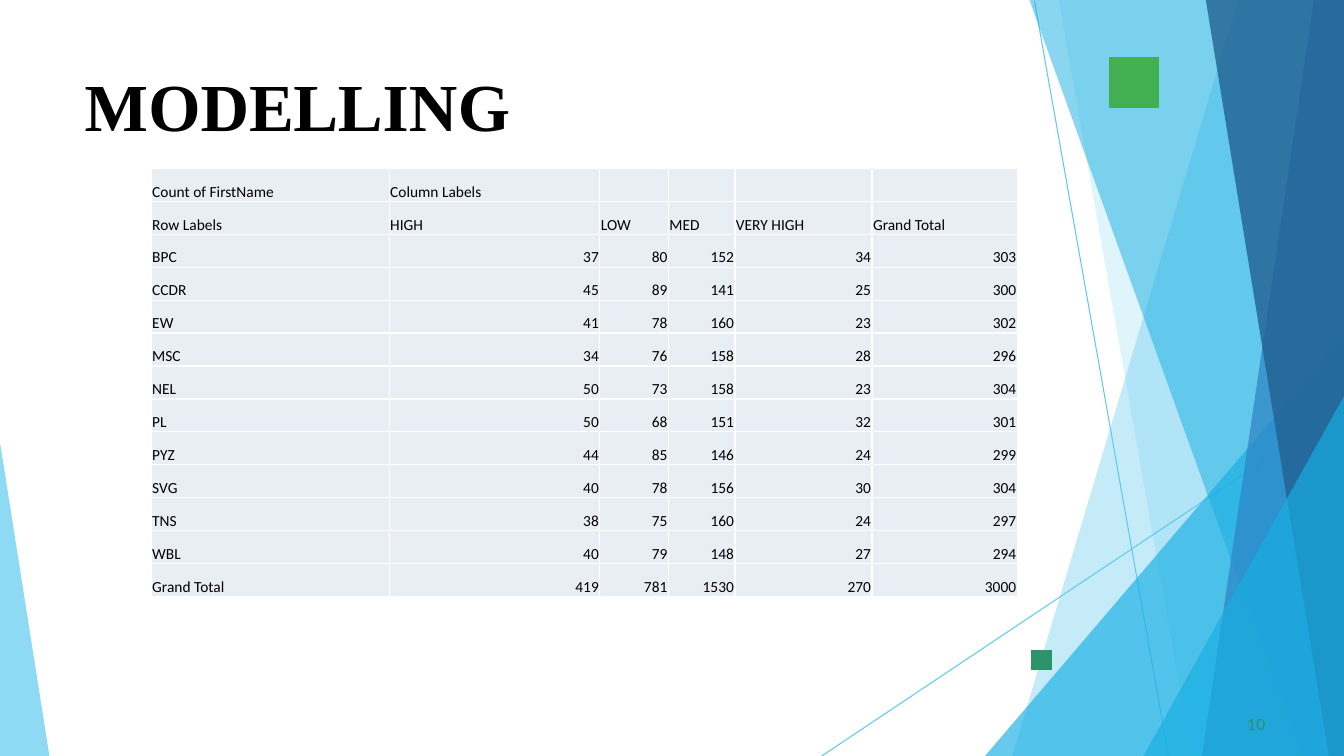
import dataclasses
import typing

import lxml.etree
import pptx
import pptx.dml.color
import pptx.enum.text
import pptx.oxml
import pptx.oxml.ns
import pptx.util

Inches = pptx.util.Inches
Pt = pptx.util.Pt
Point = tuple[float, float]

COLOURS = {
    "sky": "5FCAEE", "azure": "17AFE3", "blue": "2D83C3", "navy": "226192",
    "green": "42AF51", "teal": "2D936B", "cell": "E9EDF4",
    "white": "FFFFFF", "black": "000000",
}
WIDTH, HEIGHT = 13.33, 7.5


@dataclasses.dataclass(frozen=True)
class Ray:
    start: Point
    end: Point


@dataclasses.dataclass(frozen=True)
class Facet:
    corners: tuple[Point, ...]
    colour: str
    opacity: int = 100


def right_band(top: float, bottom: float, colour: str, opacity: int) -> Facet:
    """Band from the top edge to the bottom edge, closed by the right edge."""
    corners = ((WIDTH, 0), (top, 0), (bottom, HEIGHT), (WIDTH, HEIGHT))
    return Facet(corners, colour, opacity)


def right_wedge(top: float, bottom: float, colour: str, opacity: int) -> Facet:
    """Triangle rising from the bottom edge to a height on the right edge."""
    return Facet(((WIDTH, top), (bottom, HEIGHT), (WIDTH, HEIGHT)), colour, opacity)


def square(left: float, top: float, side: float, colour: str) -> Facet:
    right, bottom = left + side, top + side
    return Facet(((left, top), (right, top), (right, bottom), (left, bottom)), colour)


RAYS = [Ray((10.26, 0.01), (11.59, HEIGHT)), Ray((WIDTH, 4.04), (8.15, HEIGHT))]
FACETS = [
    right_band(12.28, 10.04, "sky", 36),
    right_band(10.5, 11.82, "sky", 20),
    right_wedge(3.33, 9.77, "azure", 66),
    right_band(10.21, 12.91, "azure", 50),
    right_band(13.03, 11.92, "blue", 70),
    right_band(11.96, 13.18, "navy", 80),
    right_wedge(3.93, 11.34, "azure", 66),
    Facet(((0, 4.39), (0, HEIGHT), (0.49, HEIGHT)), "sky", 70),
    square(10.23, 6.45, 0.2, "teal"),
    square(11, 0.57, 0.5, "green"),
]

# Letters of the title with their spacing in hundredths of a point
TITLE_LETTERS = [("M", 10), ("O", 0), ("D", -10), ("ELL", -30),
                 ("I", -10), ("N", 30), ("G", 10)]

LEVELS = ["HIGH", "LOW", "MED", "VERY HIGH"]
UNIT_COUNTS = {
    "BPC": [37, 80, 152, 34], "CCDR": [45, 89, 141, 25],
    "EW": [41, 78, 160, 23], "MSC": [34, 76, 158, 28],
    "NEL": [50, 73, 158, 23], "PL": [50, 68, 151, 32],
    "PYZ": [44, 85, 146, 24], "SVG": [40, 78, 156, 30],
    "TNS": [38, 75, 160, 24], "WBL": [40, 79, 148, 27],
}
COLUMN_WIDTHS = [2.36, 2.09, 0.68, 0.66, 1.36, 1.44]

FRAME_FORMAT = {
    "margin_left": Inches(0.01), "margin_top": Inches(0.01),
    "margin_right": 0, "margin_bottom": 0, "word_wrap": True,
    "vertical_anchor": pptx.enum.text.MSO_ANCHOR.TOP,
    "auto_size": pptx.enum.text.MSO_AUTO_SIZE.SHAPE_TO_FIT_TEXT,
}
CELL_FORMAT = {
    "margin_left": Inches(0.01), "margin_top": Inches(0.01),
    "margin_right": Inches(0.01), "margin_bottom": 0,
    "vertical_anchor": pptx.enum.text.MSO_ANCHOR.BOTTOM,
}
TITLE_FONT = {"name": "Times New Roman", "size": Pt(48), "bold": True}
NUMBER_FONT = {"name": "Lato", "size": Pt(11)}
CELL_FONT = {"name": "Calibri", "size": Pt(11)}


def rgb(colour: str) -> pptx.dml.color.RGBColor:
    return pptx.dml.color.RGBColor.from_string(COLOURS[colour])


def apply_format(target: typing.Any, values: dict[str, typing.Any]) -> None:
    for attribute, value in values.items():
        setattr(target, attribute, value)


def add_run(paragraph: typing.Any, text: str, font: dict[str, typing.Any],
            colour: str, spacing: int = 0) -> None:
    run = paragraph.add_run()
    run.text = text
    apply_format(run.font, font)
    run.font.color.rgb = rgb(colour)
    if spacing:
        run.font._element.set("spc", str(spacing))


def draw_ray(slide: typing.Any, ray: Ray) -> None:
    ends = [Inches(value) for value in ray.start + ray.end]
    line = slide.shapes.add_connector(pptx.enum.shapes.MSO_CONNECTOR.STRAIGHT, *ends)
    line.line.color.rgb = rgb("sky")
    line.line.width = Pt(0.75)
    lxml.etree.SubElement(line._element.spPr, pptx.oxml.ns.qn("a:effectLst"))


def draw_facet(slide: typing.Any, facet: Facet) -> None:
    first, *others = [(Inches(x), Inches(y)) for x, y in facet.corners]
    builder = slide.shapes.build_freeform(*first)
    builder.add_line_segments(others, close=True)
    facet_shape = builder.convert_to_shape()
    facet_shape.shadow.inherit = False
    facet_shape.line.fill.background()
    facet_shape.fill.solid()
    facet_shape.fill.fore_color.rgb = rgb(facet.colour)
    if facet.opacity < 100:
        tint = facet_shape._element.spPr.find(".//" + pptx.oxml.ns.qn("a:srgbClr"))
        alpha = lxml.etree.SubElement(tint, pptx.oxml.ns.qn("a:alpha"))
        alpha.set("val", str(facet.opacity * 1000))


def draw_title(slide: typing.Any) -> None:
    title = slide.shapes.title
    apply_format(title, {"left": Inches(0.83), "top": Inches(0.63),
                         "width": Inches(5.27), "height": Inches(0.82)})
    apply_format(title.text_frame, FRAME_FORMAT)
    heading = title.text_frame.paragraphs[0]
    apply_format(heading, {"alignment": pptx.enum.text.PP_ALIGN.LEFT,
                           "space_before": Pt(1.1)})
    for letters, spacing in TITLE_LETTERS:
        add_run(heading, letters, TITLE_FONT, "black", spacing)


def draw_page_number(slide: typing.Any) -> None:
    page_number = slide.shapes.add_textbox(
        Inches(12.33), Inches(7.08), Inches(0.25), Inches(0.21))
    apply_format(page_number.text_frame,
                 FRAME_FORMAT | {"margin_left": Inches(0.04)})
    number_line = page_number.text_frame.paragraphs[0]
    number_line.space_before = Pt(0.6)
    add_run(number_line, "10", NUMBER_FONT, "teal", 10)


def fill_cell(cell: typing.Any, value: str | int) -> None:
    apply_format(cell, CELL_FORMAT)
    for side in ("lnL", "lnR", "lnT", "lnB"):
        cell._tc.get_or_add_tcPr().append(pptx.oxml.parse_xml(
            f'<a:{side} {pptx.oxml.ns.nsdecls("a")} w="12700"><a:solidFill>'
            f'<a:srgbClr val="{COLOURS["white"]}"/></a:solidFill></a:{side}>'))
    cell.fill.solid()
    cell.fill.fore_color.rgb = rgb("cell")
    entry = cell.text_frame.paragraphs[0]
    if isinstance(value, int):
        entry.alignment = pptx.enum.text.PP_ALIGN.RIGHT
    if value != "":
        add_run(entry, str(value), CELL_FONT, "black")


def draw_counts(slide: typing.Any) -> None:
    totals = [sum(column) for column in zip(*UNIT_COUNTS.values())]
    rows = [["Count of FirstName", "Column Labels", "", "", "", ""],
            ["Row Labels", *LEVELS, "Grand Total"]]
    for label, counts in (UNIT_COUNTS | {"Grand Total": totals}).items():
        rows.append([label, *counts, sum(counts)])
    counts_table = slide.shapes.add_table(
        len(rows), len(COLUMN_WIDTHS), Inches(1.5), Inches(1.67),
        Inches(sum(COLUMN_WIDTHS)), Inches(4.25)).table
    for column, width in zip(counts_table.columns, COLUMN_WIDTHS):
        column.width = Inches(width)
    for row, values in zip(counts_table.rows, rows):
        for cell, value in zip(row.cells, values):
            fill_cell(cell, value)


def main() -> None:
    deck = pptx.Presentation()
    apply_format(deck, {"slide_width": Inches(WIDTH), "slide_height": Inches(HEIGHT)})
    slide = deck.slides.add_slide(deck.slide_layouts.get_by_name("Title Only"))
    # Backdrop of thin rays and translucent facets
    for ray in RAYS:
        draw_ray(slide, ray)
    for facet in FACETS:
        draw_facet(slide, facet)
    # Content
    draw_title(slide)
    draw_page_number(slide)
    draw_counts(slide)
    deck.save("out.pptx")


if __name__ == "__main__":
    main()
